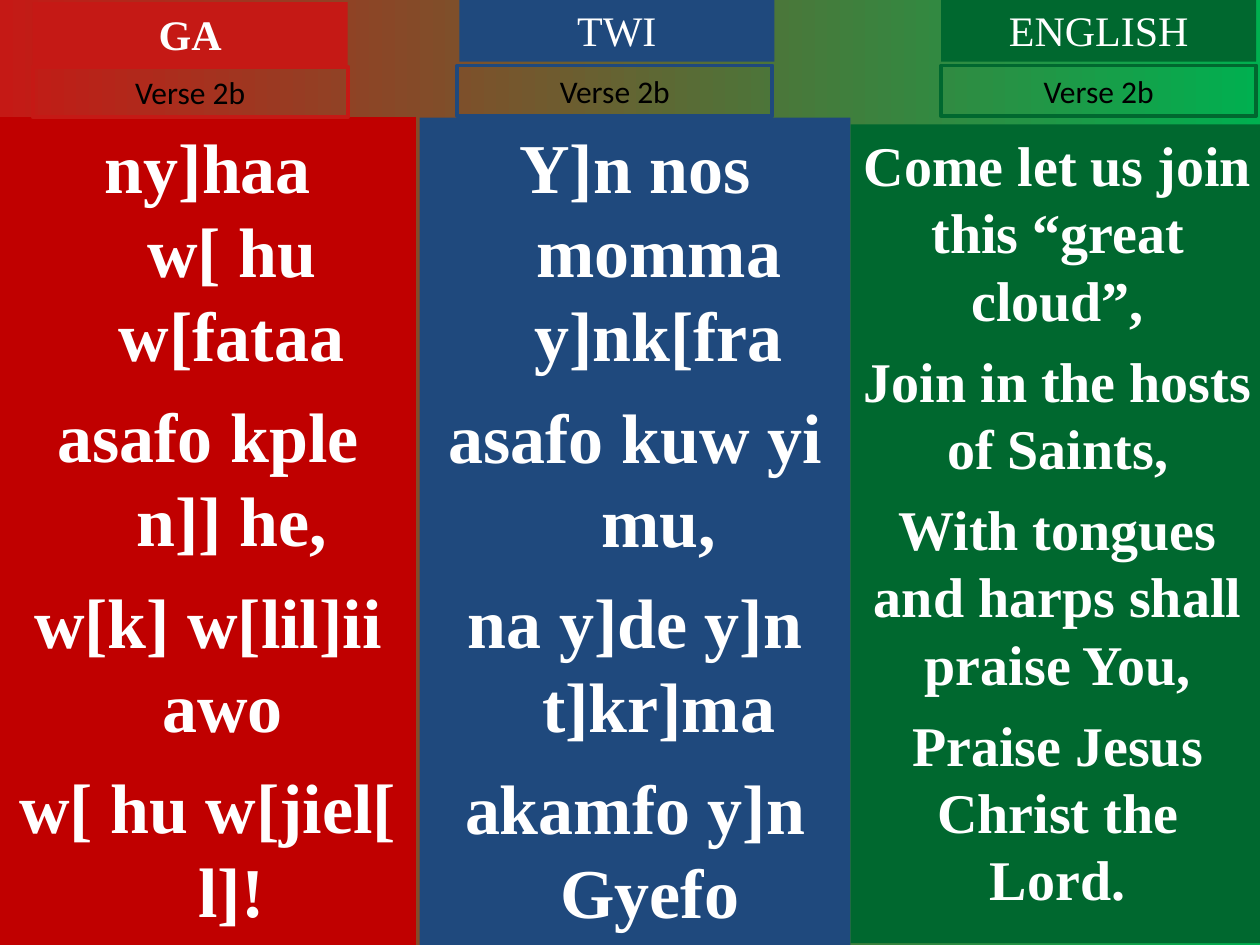
import pptx
import pptx.util
import pptx.dml.color
import pptx.enum.text
import lxml.etree
from pptx.oxml.ns import qn

Pt = pptx.util.Pt
SERIF = "Times New Roman"
WHITE = "FFFFFF"
HANG = Pt(27)

COLS = [
    dict(head="GA", head_at=(18.72, 1.2), tag_at=(18.72, 38.16),
         body_at=(0, 66.96, 237.6, 473.04), hue="C51915", fill="C00000",
         size=40, gap=10, hang=HANG, bold=True, slots=(0, 1),
         lines=["ny]haa w[ hu w[fataa", "asafo kple n]] he,",
                "w[k] w[lil]ii awo ", "w[ hu w[jiel[ l]!"]),
    dict(head="TWI", head_at=(262.5, -0.72), tag_at=(261.36, 37.44),
         body_at=(239.76, 67.2, 246.24, 472.8), hue="1F497D", fill="1F497D",
         size=40, gap=10, hang=HANG, bold=False, slots=(None, 2),
         lines=["Y]n nos momma y]nk[fra", "asafo kuw yi mu,",
                "na y]de y]n t]kr]ma", "akamfo y]n Gyefo "]),
    dict(head="ENGLISH", head_at=(537.84, -0.72), tag_at=(537.84, 37.44),
         body_at=(486, 71, 236.88, 468), hue="00682F", fill="00682F",
         size=32, gap=8, hang=0, bold=False, slots=(None, 4),
         lines=["Come let us join this “great cloud”,",
                "Join in the hosts of Saints,",
                "With tongues and harps shall praise You,",
                "Praise Jesus Christ the Lord."]),
]


def rgb(code):
    return pptx.dml.color.RGBColor.from_string(code)


def paint(slide, left, right):
    fill = slide.background.fill
    fill.gradient()
    fill.gradient_angle = 0
    for stop, code in zip(fill.gradient_stops, (left, right)):
        stop.color.rgb = rgb(code)


def place(slide, slot, at):
    left, top, width, height = map(Pt, at)
    if slot is None:
        return slide.shapes.add_textbox(left, top, width, height)
    shape = next(s for s in slide.placeholders
                 if s.placeholder_format.idx == slot)
    shape.left, shape.top = left, top
    shape.width, shape.height = width, height
    return shape


def flood(shape, code):
    shape.fill.solid()
    shape.fill.fore_color.rgb = rgb(code)


def write(shape, lines, size, face, code, bold, gap=0, hang=0):
    frame = shape.text_frame
    frame.text = "\n".join(lines)
    frame.word_wrap = True
    frame.auto_size = pptx.enum.text.MSO_AUTO_SIZE.NONE
    frame.vertical_anchor = pptx.enum.text.MSO_ANCHOR.TOP
    frame.margin_left = frame.margin_right = Pt(7.2)
    frame.margin_top = frame.margin_bottom = Pt(3.6)
    for rank, para in enumerate(frame.paragraphs):
        props = para._p.get_or_add_pPr()
        props.set("marL", str(int(hang)))
        props.set("indent", str(-int(hang)))
        lxml.etree.SubElement(props, qn("a:buNone"))
        para.alignment = pptx.enum.text.PP_ALIGN.CENTER
        para.space_before = Pt(gap if rank else 0)
        for run in para.runs:
            font = run.font
            font.name, font.size, font.bold = face, Pt(size), bold
            font.color.rgb = rgb(code)


def add_lyrics(slide, col):
    box = place(slide, col["slots"][1], col["body_at"])
    flood(box, col["fill"])
    write(box, col["lines"], col["size"], SERIF, WHITE, True,
          col["gap"], col["hang"])


def add_head(slide, col):
    box = place(slide, col["slots"][0], (*col["head_at"], 180, 36))
    flood(box, col["hue"])
    write(box, [col["head"]], 24, SERIF, WHITE, col["bold"])


def add_tag(slide, col):
    box = place(slide, None, (*col["tag_at"], 180, 28.8))
    box.line.color.rgb = rgb(col["hue"])
    box.line.width = Pt(2.25)
    write(box, ["Verse 2b"], 18, "Calibri", "000000", False)


def prune(slide):
    for shape in list(slide.placeholders):
        if not shape.text_frame.text:
            shape.element.getparent().remove(shape.element)


def main():
    deck = pptx.Presentation()
    deck.slide_width, deck.slide_height = Pt(720), Pt(540)
    slide = deck.slides.add_slide(deck.slide_layouts.get_by_name("Comparison"))
    paint(slide, "C51915", "00B050")
    for col in COLS:
        add_lyrics(slide, col)
        add_head(slide, col)
        add_tag(slide, col)
    prune(slide)
    deck.save("out.pptx")


if __name__ == "__main__":
    main()
